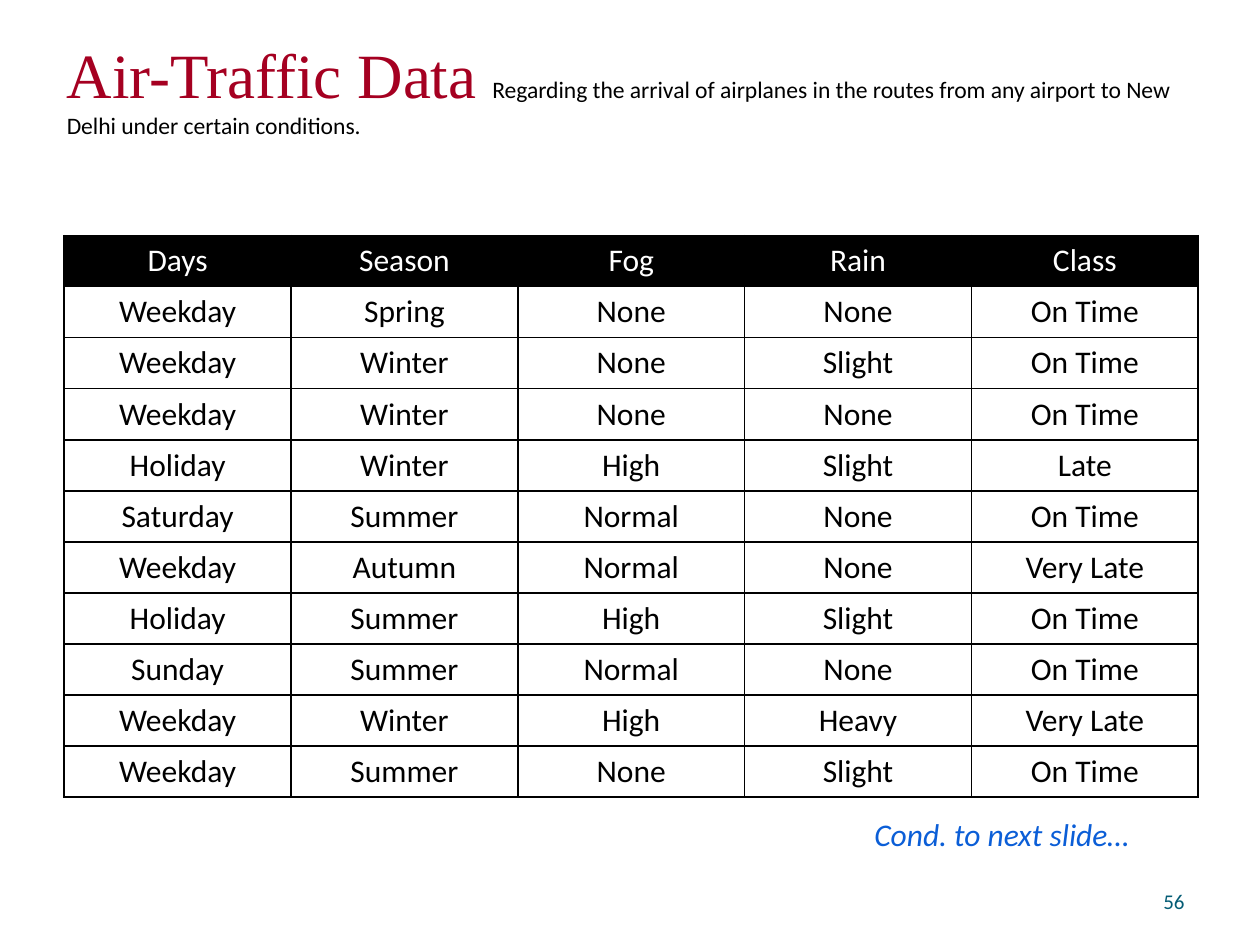
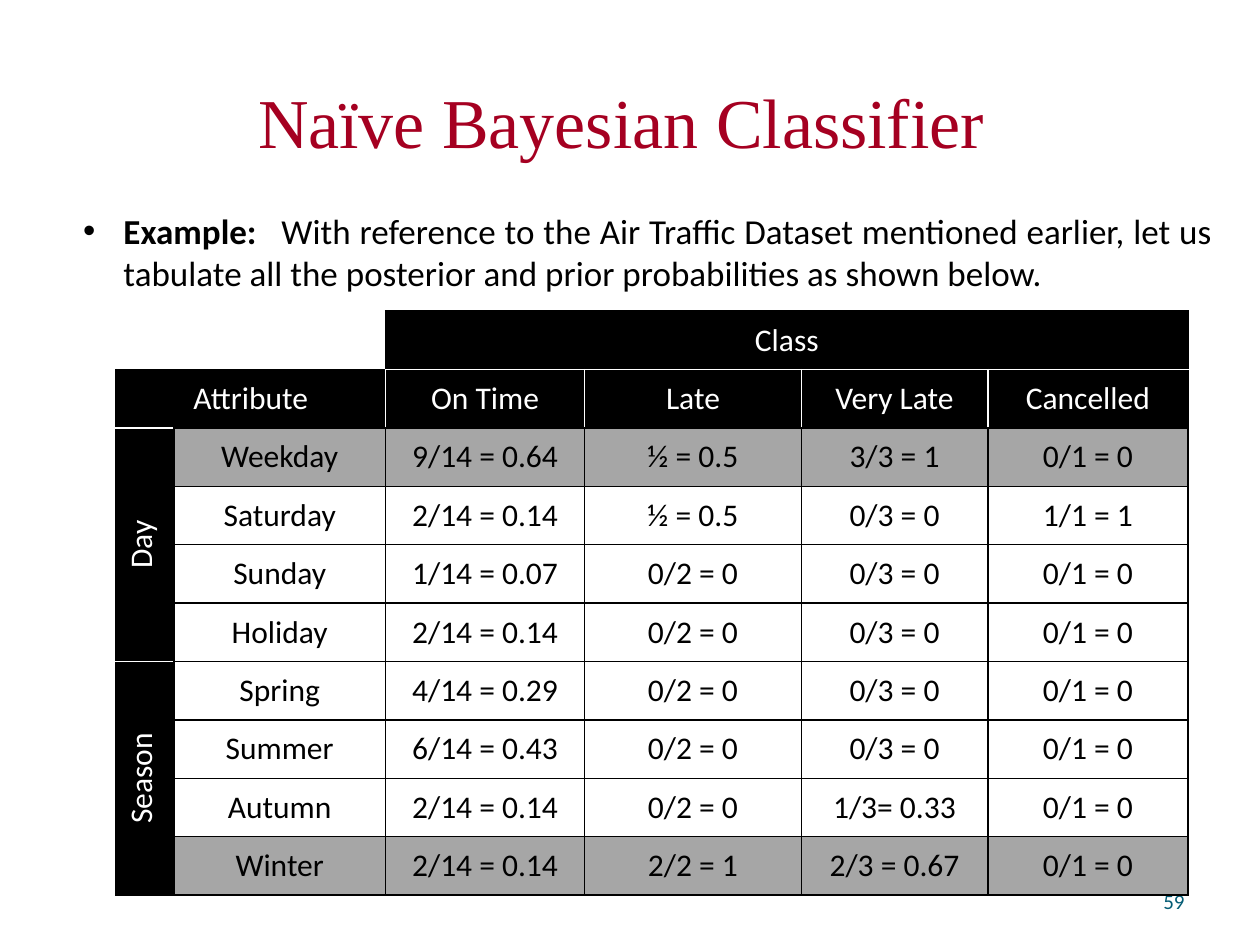
import dataclasses

import pptx
import pptx.dml.color
import pptx.enum.text
import pptx.oxml
import pptx.oxml.ns
import pptx.util


@dataclasses.dataclass(frozen=True)
class Theme:
    red: str = "A50021"
    black: str = "000000"
    white: str = "FFFFFF"
    gray: str = "A6A6A6"
    teal: str = "045C75"
    blue: str = "0B5ED7"
    serif: str = "Times New Roman"
    sans: str = "Calibri"
    title: float = 40
    lead: float = 36
    body: float = 20
    cell: float = 18
    small: float = 13.5
    page: float = 12
    line: float = 1


theme = Theme()
rgb = pptx.dml.color.RGBColor.from_string
align = pptx.enum.text.PP_ALIGN
anchor = pptx.enum.text.MSO_ANCHOR
fit = pptx.enum.text.MSO_AUTO_SIZE

deck = pptx.Presentation()
deck.slide_width = pptx.util.Inches(10)
deck.slide_height = pptx.util.Inches(7.5)

# Places as percent of slide width and height: left, top, width, height
places = {
    "title": (4.3, 3.73, 90, 16.67),
    "page": (71.7, 92.67, 23.3, 5.33),
    "data": (5.1, 24.93, 90, 59.47),
    "note": (68.4, 85.6, 22.5, 5.33),
    "body": (5, 21.47, 92.2, 69.07),
    "odds": (9.2, 32.93, 85.1, 61.8),
}
sides = (deck.slide_width, deck.slide_height) * 2
spot = {name: [int(share * side / 100) for share, side in zip(place, sides)]
        for name, place in places.items()}


def put(par, text, size, color, face=theme.sans):
    """Add one styled run to a paragraph."""
    run = par.add_run()
    run.text = text
    run.font.size = pptx.util.Pt(size)
    run.font.name = face
    run.font.color.rgb = rgb(color)
    return run


def grid(slide, place, rows, shares, dark, join, spans=(), shade=()):
    """Draw a ruled table; join is the line colour between dark cells."""
    high, wide = len(rows), len(shares)
    table = slide.shapes.add_table(high, wide, *spot[place]).table
    table.first_row = table.horz_banding = False
    for col, share in zip(table.columns, shares):
        col.width = int(spot[place][2] * share / sum(shares))
    for row in table.rows:
        row.height = spot[place][3] // high
    for top, left, low, right in spans:
        table.cell(top, left).merge(table.cell(low, right))

    for r in range(high):
        for c in range(wide):
            cell = table.cell(r, c)
            top, left, low, right = next(
                (s for s in spans if s[0] <= r <= s[2] and s[1] <= c <= s[3]),
                (r, c, r, c))
            text = rows[r][c]
            bare = not rows[top][left]
            props = cell._tc.get_or_add_tcPr()

            # Borders
            near = {"L": (top, left - 1), "R": (top, right + 1),
                    "T": (top - 1, left), "B": (low + 1, left)}
            for side, (y, x) in near.items():
                inside = 0 <= y < high and 0 <= x < wide
                both = (r, c) in dark and (y, x) in dark
                color = join if both else theme.black
                paint = ("<a:noFill/>" if bare and not inside else
                         f'<a:solidFill><a:srgbClr val="{color}"/></a:solidFill>')
                props.append(pptx.oxml.parse_xml(
                    f'<a:ln{side} {pptx.oxml.ns.nsdecls("a")} '
                    f'w="{pptx.util.Pt(theme.line)}">{paint}</a:ln{side}>'))

            # Fill and text
            if (r, c) in dark or r in shade:
                cell.fill.solid()
                cell.fill.fore_color.rgb = rgb(
                    theme.black if (r, c) in dark else theme.gray)
            else:
                cell.fill.background()
            cell.vertical_anchor = anchor.MIDDLE
            if low > top:
                props.set("vert", "vert270")
            if text:
                par = cell.text_frame.paragraphs[0]
                par.alignment = align.CENTER
                put(par, text, theme.cell,
                    theme.white if (r, c) in dark else theme.black)


# Shared frame: title place and page number
slides = []
for layout, number in ((5, "56"), (1, "59")):
    slide = deck.slides.add_slide(deck.slide_layouts[layout])
    title = slide.shapes.title
    title.left, title.top, title.width, title.height = spot["title"]
    title.text_frame.auto_size = fit.NONE
    page = slide.shapes.add_textbox(*spot["page"]).text_frame
    page.word_wrap = True
    page.vertical_anchor = anchor.MIDDLE
    page.paragraphs[0].alignment = align.RIGHT
    put(page.paragraphs[0], number, theme.page, theme.teal)
    slides.append(slide)
first, second = slides

# Air traffic: title with lead text
frame = first.shapes.title.text_frame
frame.vertical_anchor = anchor.TOP
frame.margin_top = 0
par = frame.paragraphs[0]
par.alignment = align.LEFT
put(par, "Air-Traffic Data ", theme.lead, theme.red, theme.serif)
put(par, "Regarding the arrival of airplanes in the routes from any airport "
    "to New Delhi under certain conditions.", theme.small, theme.black)

# Air traffic: data table
flights = [line.split(", ") for line in (
    "Days, Season, Fog, Rain, Class",
    "Weekday, Spring, None, None, On Time",
    "Weekday, Winter, None, Slight, On Time",
    "Weekday, Winter, None, None, On Time",
    "Holiday, Winter, High, Slight, Late",
    "Saturday, Summer, Normal, None, On Time",
    "Weekday, Autumn, Normal, None, Very Late",
    "Holiday, Summer, High, Slight, On Time",
    "Sunday, Summer, Normal, None, On Time",
    "Weekday, Winter, High, Heavy, Very Late",
    "Weekday, Summer, None, Slight, On Time",
)]
grid(first, "data", flights, [1] * 5, {(0, c) for c in range(5)}, theme.black)

# Air traffic: note
note = first.shapes.add_textbox(*spot["note"]).text_frame
note.word_wrap = False
run = put(note.paragraphs[0], "Cond. to next slide…", theme.cell, theme.blue)
run.font.italic = True

# Classifier: title
frame = second.shapes.title.text_frame
frame.vertical_anchor = anchor.MIDDLE
frame.margin_top, frame.margin_bottom = pptx.util.Inches(0.1), 0
par = frame.paragraphs[0]
par.alignment = align.CENTER
put(par, "Naïve Bayesian Classifier", theme.title, theme.red, theme.serif)

# Classifier: example
body = second.placeholders[1]
body.left, body.top, body.width, body.height = spot["body"]
body.text_frame.auto_size = fit.NONE
par = body.text_frame.paragraphs[0]
par.alignment = align.JUSTIFY
par.space_before = 0
props = par._p.get_or_add_pPr()
props.set("marL", str(pptx.util.Inches(0.38)))
props.set("indent", str(pptx.util.Inches(-0.32)))
put(par, "Example:", theme.body, theme.black).font.bold = True
gap = put(par, " ", theme.body, theme.black)
gap.font._element.set("spc", "900")
put(par, "With reference to the Air Traffic Dataset mentioned earlier, let us "
    "tabulate all the posterior and prior probabilities as shown below.",
    theme.body, theme.black)

# Classifier: probability table
odds = [line.split(",") for line in (
    ",,Class,,,",
    "Attribute,,On Time,Late,Very Late,Cancelled",
    "Day,Weekday,9/14 = 0.64,½ = 0.5,3/3 = 1,0/1 = 0",
    ",Saturday,2/14 = 0.14,½ = 0.5,0/3 = 0,1/1 = 1",
    ",Sunday,1/14 = 0.07,0/2 = 0,0/3 = 0,0/1 = 0",
    ",Holiday,2/14 = 0.14,0/2 = 0,0/3 = 0,0/1 = 0",
    "Season,Spring,4/14 = 0.29,0/2 = 0,0/3 = 0,0/1 = 0",
    ",Summer,6/14 = 0.43,0/2 = 0,0/3 = 0,0/1 = 0",
    ",Autumn,2/14 = 0.14,0/2 = 0,1/3= 0.33,0/1 = 0",
    ",Winter,2/14 = 0.14,2/2 = 1,2/3 = 0.67,0/1 = 0",
)]
dark = {(r, c) for r in range(10) for c in range(6)
        if r == 1 or (r == 0 and c > 1) or (r > 1 and c == 0)}
grid(second, "odds", odds, (0.46, 1.68, 1.58, 1.72, 1.48, 1.59), dark,
     theme.white, shade=(2, 9),
     spans=((0, 0, 0, 1), (0, 2, 0, 5), (1, 0, 1, 1),
            (2, 0, 5, 0), (6, 0, 9, 0)))

deck.save("out.pptx")
